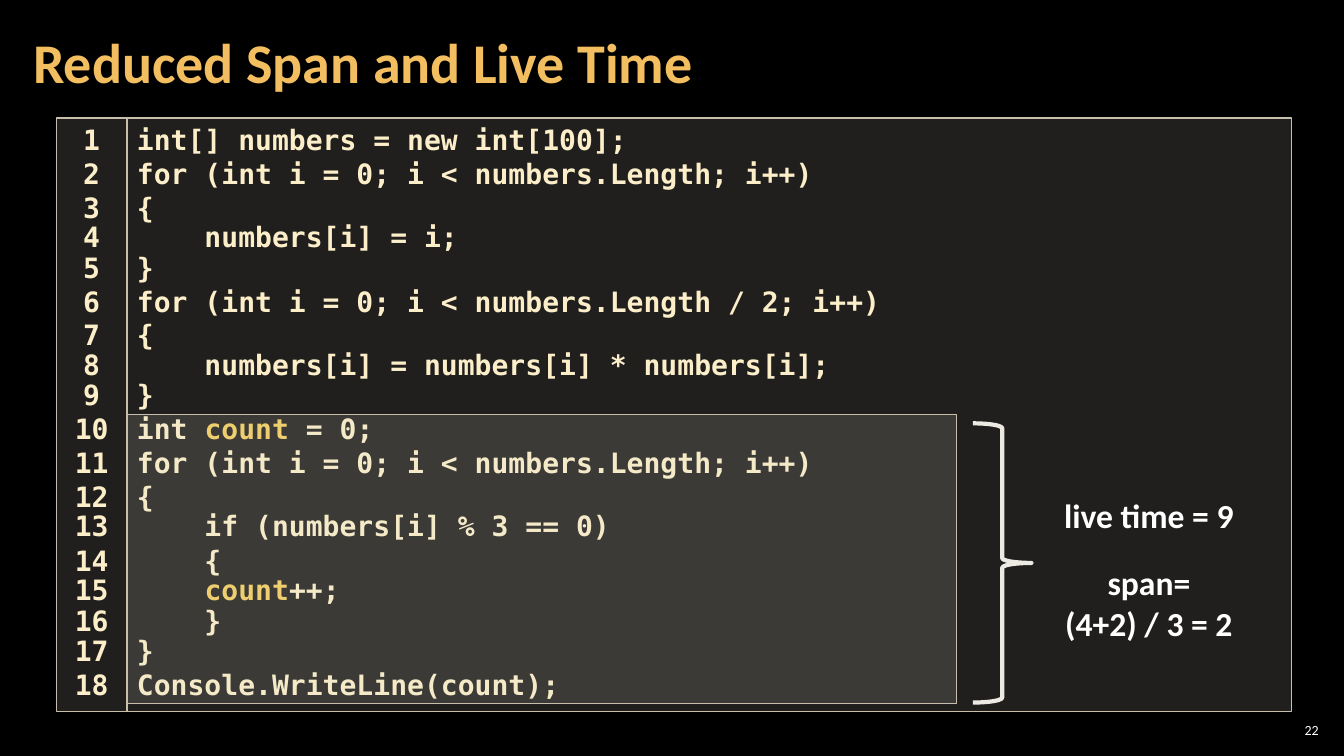
"""Build a slide on the reduced span and live time of a variable."""
from lxml.etree import SubElement as Sub
from pptx import Presentation
from pptx.dml.color import RGBColor as RGB
from pptx.enum.shapes import MSO_SHAPE as Kind
from pptx.enum.text import MSO_ANCHOR as Anchor, PP_ALIGN as Align
from pptx.oxml.ns import qn
from pptx.util import Inches, Pt

BLACK = RGB(0x00, 0x00, 0x00)
WHITE = RGB(0xFF, 0xFF, 0xFF)
PANEL = RGB(0xD9, 0xD5, 0xC7)
EDGE = RGB(0xC7, 0xBF, 0xAC)
CREAM = RGB(0xFB, 0xEE, 0xC9)
GOLD = RGB(0xF3, 0xCD, 0x60)
AMBER = RGB(0xF3, 0xBE, 0x60)
PALE = RGB(0xEC, 0xEA, 0xE3)
MONO, SANS = "DejaVu Sans Mono", "Calibri"

CODE = """int[] numbers = new int[100];
for (int i = 0; i < numbers.Length; i++)
{
    numbers[i] = i;
}
for (int i = 0; i < numbers.Length / 2; i++)
{
    numbers[i] = numbers[i] * numbers[i];
}
int |count| = 0;
for (int i = 0; i < numbers.Length; i++)
{
    if (numbers[i] % 3 == 0)
    {
    |count|++;
    }
}
Console.WriteLine(count);"""
ROWS = CODE.count("\n") + 1
TIGHT = {4, 5, 8, 9, 13, 15, 16, 17}


def write(shape, text, size=20, font=SANS, color=WHITE, bold=True,
          align=Align.LEFT, anchor=Anchor.TOP, pad=(0.1, 0.05), tight=()):
    """Fill a shape with lines of text; parts between bars are gold."""
    frame = shape.text_frame
    frame.word_wrap = True
    frame.vertical_anchor = anchor
    frame.margin_left = frame.margin_right = Inches(pad[0])
    frame.margin_top = frame.margin_bottom = Inches(pad[1])
    for row, line in enumerate(text.split("\n"), 1):
        para = frame.paragraphs[0] if row == 1 else frame.add_paragraph()
        para.alignment = align
        if row in tight:
            para.line_spacing = 0.9
        for part, words in enumerate(line.split("|")):
            run = para.add_run()
            run.text = words
            run.font.size, run.font.name = Pt(size), font
            run.font.bold = bold
            run.font.color.rgb = GOLD if part % 2 else color


def panel(left, top, width, height):
    """Add a bordered, mostly clear rectangle."""
    box = shapes.add_shape(Kind.RECTANGLE, *map(Inches, (left, top, width, height)))
    box.shadow.inherit = False
    box.fill.solid()
    box.fill.fore_color.rgb = PANEL
    tint = box.fill._xPr.find(qn("a:solidFill"))[0]
    Sub(tint, qn("a:alpha"), val="15000")
    box.line.color.rgb, box.line.width = EDGE, Pt(1)
    return box


deck = Presentation()
deck.slide_width, deck.slide_height = Inches(13.33), Inches(7.5)
slide = deck.slides.add_slide(deck.slide_layouts[6])
slide.background.fill.solid()
slide.background.fill.fore_color.rgb = BLACK
shapes = slide.shapes

LEFT, SPLIT, RIGHT, TOP, HIGH = 0.56, 1.26, 12.81, 1.17, 5.89
code = panel(SPLIT, TOP, RIGHT - SPLIT, HIGH)
write(code, CODE, font=MONO, color=CREAM, tight=TIGHT)
panel(SPLIT, 4.11, 8.23, 2.87)

gutter = panel(LEFT, TOP, SPLIT - LEFT, HIGH)
digits = "\n".join(str(row) for row in range(1, ROWS + 1))
write(gutter, digits, font=MONO, color=CREAM, align=Align.CENTER, tight=TIGHT)

brace = shapes.add_shape(Kind.RIGHT_BRACE, *map(Inches, (9.65, 4.2, 0.58, 2.77)))
brace.shadow.inherit = False
brace.fill.background()
brace.line.color.rgb, brace.line.width = PALE, Pt(3)

MID = dict(size=24, align=Align.CENTER)
LABELS = [
    ((0.21, 0.04, 10.47, 1.21), "Reduced Span and Live Time",
     dict(size=40, color=AMBER, anchor=Anchor.MIDDLE, pad=(0.12, 0.04), tight={1})),
    ((10.04, 4.86, 2.71, 0.52), "live time = 9", MID),
    ((10.04, 5.53, 2.71, 0.94), "span=\n(4+2) / 3 = 2", MID),
    ((12.65, 7.14, 0.47, 0.21), "22",
     dict(size=10, bold=False, align=Align.RIGHT, anchor=Anchor.MIDDLE, pad=(0.04, 0.04))),
]
for place, text, style in LABELS:
    write(shapes.add_textbox(*map(Inches, place)), text, **style)

deck.save("out.pptx")
